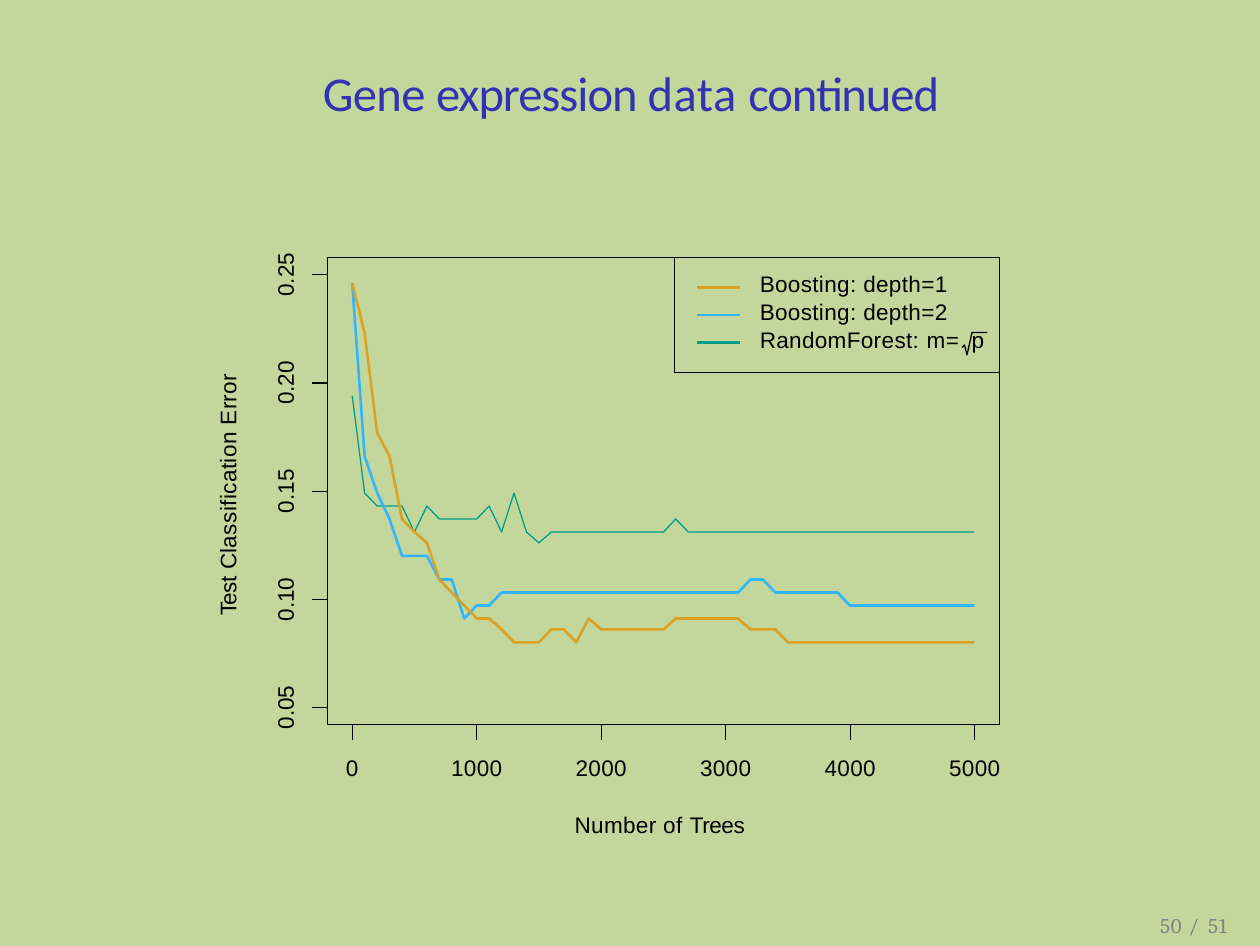
from dataclasses import dataclass

from lxml import etree
from pptx import Presentation
from pptx import util as u
from pptx.chart import data
from pptx.dml import color
from pptx.enum import chart as charts, shapes, text
from pptx.oxml import ns


@dataclass(frozen=True)
class Theme:
    background: str = "C3D69B"
    heading: str = "3333B2"
    ink: str = "000000"
    muted: str = "7F7F7F"
    depth_1: str = "DBA123"
    depth_2: str = "31B5FF"
    forest: str = "009F86"
    heading_font: str = "Calibri"
    plot_font: str = "Arial"
    page_font: str = "Cambria"
    heading_size: float = 14
    plot_size: float = 6.5
    page_size: float = 6
    legend_pitch: float = 8.1
    thin: float = 0.36
    thick: float = 0.73


def rgb(value):
    return color.RGBColor.from_string(value)


def add_element(parent, tag, **attributes):
    return etree.SubElement(parent, ns.qn(tag), attributes)


class SlideBuilder:
    def __init__(self, slide, theme):
        self.slide = slide
        self.theme = theme
        fill = slide.background.fill
        fill.solid()
        fill.fore_color.rgb = rgb(theme.background)

    def stroke(self, line, ink, width):
        line.color.rgb = rgb(ink)
        line.width = u.Pt(width)

    def label(self, paragraphs, left, top, width, height, font=None, size=None,
              ink=None, align=text.PP_ALIGN.CENTER, upright=False, pitch=None):
        theme = self.theme
        box = self.slide.shapes.add_textbox(*map(u.Inches, (left, top, width, height)))
        frame = box.text_frame
        frame.word_wrap = True
        frame.vertical_anchor = text.MSO_ANCHOR.MIDDLE
        frame.margin_left = frame.margin_right = frame.margin_top = frame.margin_bottom = 0
        if upright:
            frame._txBody.bodyPr.set("vert", "vert270")
        for index, runs in enumerate(paragraphs):
            paragraph = frame.add_paragraph() if index else frame.paragraphs[0]
            paragraph.alignment = align
            if pitch:
                paragraph.line_spacing = u.Pt(pitch)
            for words, spacing in runs:
                run = paragraph.add_run()
                run.text = words
                run.font.name = font or theme.plot_font
                run.font.size = u.Pt(size or theme.plot_size)
                run.font.color.rgb = rgb(ink or theme.ink)
                run.font._element.set("spc", str(round(spacing * 100)))

    def line(self, x1, y1, x2, y2, ink=None, width=None):
        ends = map(u.Inches, (x1, y1, x2, y2))
        connector = self.slide.shapes.add_connector(shapes.MSO_CONNECTOR.STRAIGHT, *ends)
        self.stroke(connector.line, ink or self.theme.ink, width or self.theme.thin)
        add_element(connector._element.spPr, "a:effectLst")

    def outline(self, shape):
        shape.shadow.inherit = False
        shape.fill.background()
        self.stroke(shape.line, self.theme.ink, self.theme.thin)

    def box(self, left, top, width, height):
        bounds = map(u.Inches, (left, top, width, height))
        self.outline(self.slide.shapes.add_shape(shapes.MSO_SHAPE.RECTANGLE, *bounds))

    def polyline(self, points):
        start, *rest = [(u.Inches(x), u.Inches(y)) for x, y in points]
        builder = self.slide.shapes.build_freeform(*start)
        builder.add_line_segments(rest, close=False)
        self.outline(builder.convert_to_shape())

    def curves(self, bounds, x_range, y_range, step, series):
        chart_data = data.XyChartData()
        for name, values, _, _ in series:
            curve = chart_data.add_series(name)
            for index, value in enumerate(values):
                curve.add_data_point(index * step, value)
        chart = self.slide.shapes.add_chart(
            charts.XL_CHART_TYPE.XY_SCATTER_LINES_NO_MARKERS,
            *map(u.Inches, bounds), chart_data).chart
        chart.has_legend = chart.has_title = False
        chart.font.name = self.theme.plot_font
        chart.font.size = u.Pt(self.theme.plot_size)
        chart.font.color.rgb = rgb(self.theme.ink)
        for axis, limits in ((chart.category_axis, x_range), (chart.value_axis, y_range)):
            axis.minimum_scale, axis.maximum_scale = limits
            axis.has_major_gridlines = False
            axis.visible = False
        plot = chart.plots[0]
        plot.vary_by_categories = False
        for curve, (_, _, ink, width) in zip(plot.series, series):
            curve.smooth = False
            curve.marker.style = charts.XL_MARKER_STYLE.NONE
            self.stroke(curve.format.line, ink, width)
        self.fill_frame(chart)

    def fill_frame(self, chart):
        space = chart._chartSpace
        area = space.chart.plotArea
        for old in area.findall(ns.qn("c:layout")):
            area.remove(old)
        layout = add_element(area, "c:layout")
        area.insert(0, layout)
        manual = add_element(layout, "c:manualLayout")
        settings = {"layoutTarget": "inner", "xMode": "edge", "yMode": "edge",
                    "x": "0", "y": "0", "w": "1", "h": "1"}
        for tag, value in settings.items():
            add_element(manual, f"c:{tag}", val=value)
        for parent in (area, space):
            properties = add_element(parent, "c:spPr")
            add_element(properties, "a:noFill")
            add_element(add_element(properties, "a:ln"), "a:noFill")
        space.chart.addnext(properties)


def main():
    theme = Theme()
    deck = Presentation()
    deck.slide_width, deck.slide_height = u.Pt(363), u.Pt(272.5)
    page = SlideBuilder(deck.slides.add_slide(deck.slide_layouts[6]), theme)

    page.label([[("Gene ", -0.2), ("expression ", -0.3), ("data ", 0.1), ("continued", -0.3)]],
               1.15, 0.24, 2.75, 0.26, theme.heading_font, theme.heading_size, theme.heading)

    left, top, width, height = plot_bounds = 1.31, 1.03, 2.69, 1.87
    bottom = top + height
    trees_range = trees_min, trees_max = -200, 5200
    error_range = error_min, error_max = 0.042, 0.258
    tick = 0.06
    page.box(*plot_bounds)
    for trees in range(0, 5001, 1000):
        x = left + width * (trees - trees_min) / (trees_max - trees_min)
        page.line(x, bottom, x, bottom + tick)
        page.label([[(str(trees), 0.1)]], x - 0.15, 3, 0.3, 0.14)
    for hundredths in range(5, 26, 5):
        error = hundredths / 100
        y = bottom - height * (error - error_min) / (error_max - error_min)
        page.line(left - tick, y, left, y)
        page.label([[(f"{error:.2f}", 0)]], 1.07, y - 0.15, 0.14, 0.3, upright=True)
    page.label([[("Number of ", 0.1), ("Trees", -0.1)]], 2.14, 3.23, 1, 0.14)
    page.label([[("Test ", -0.1), ("Classification Error", 0.1)]],
               0.84, 1.38, 0.14, 1.2, upright=True)

    depth_1_errors = ([0.246, 0.223, 0.177, 0.166, 0.137, 0.131, 0.126, 0.109, 0.103, 0.097]
                      + [0.091] * 2 + [0.086] + [0.08] * 3 + [0.086] * 2 + [0.08, 0.091]
                      + [0.086] * 6 + [0.091] * 6 + [0.086] * 3 + [0.08] * 16)
    depth_2_errors = ([0.246, 0.166, 0.149, 0.137] + [0.12] * 3 + [0.109] * 2 + [0.091]
                      + [0.097] * 2 + [0.103] * 20 + [0.109] * 2 + [0.103] * 6
                      + [0.097] * 11)
    forest_errors = ([0.194, 0.149] + [0.143] * 3 + [0.131, 0.143] + [0.137] * 4
                     + [0.143, 0.131, 0.149, 0.131, 0.126] + [0.131] * 10 + [0.137]
                     + [0.131] * 24)
    methods = [("Boosting: depth=1", depth_1_errors, theme.depth_1, theme.thick),
               ("Boosting: depth=2", depth_2_errors, theme.depth_2, theme.thick),
               ("RandomForest: m= p", forest_errors, theme.forest, theme.thin)]
    page.curves(plot_bounds, trees_range, error_range, 100, methods)

    page.box(2.7, top, 1.3, 0.46)
    for row, (_, _, ink, _) in enumerate(methods):
        y = 1.15 + 0.11 * row
        page.line(2.79, y, 2.96, y, ink, theme.thick)
    page.label([[("Boosting: depth=1", 0.1)], [("Boosting: depth=2", 0.1)],
                [("RandomForest: ", 0.1), ("m=", 0.2), (" ", 1.6), ("p", 0.1)]],
               3.04, 1.06, 0.95, 0.37, align=text.PP_ALIGN.LEFT, pitch=theme.legend_pitch)
    page.polyline([(3.85, 1.39), (3.86, 1.38), (3.87, 1.42), (3.89, 1.33), (3.95, 1.33)])

    page.label([[("50 ", 0.3), ("/ ", 0.7), ("51", 0.3)]],
               4.6, 3.64, 0.35, 0.12, theme.page_font, theme.page_size, theme.muted)
    deck.save("out.pptx")


if __name__ == "__main__":
    main()
